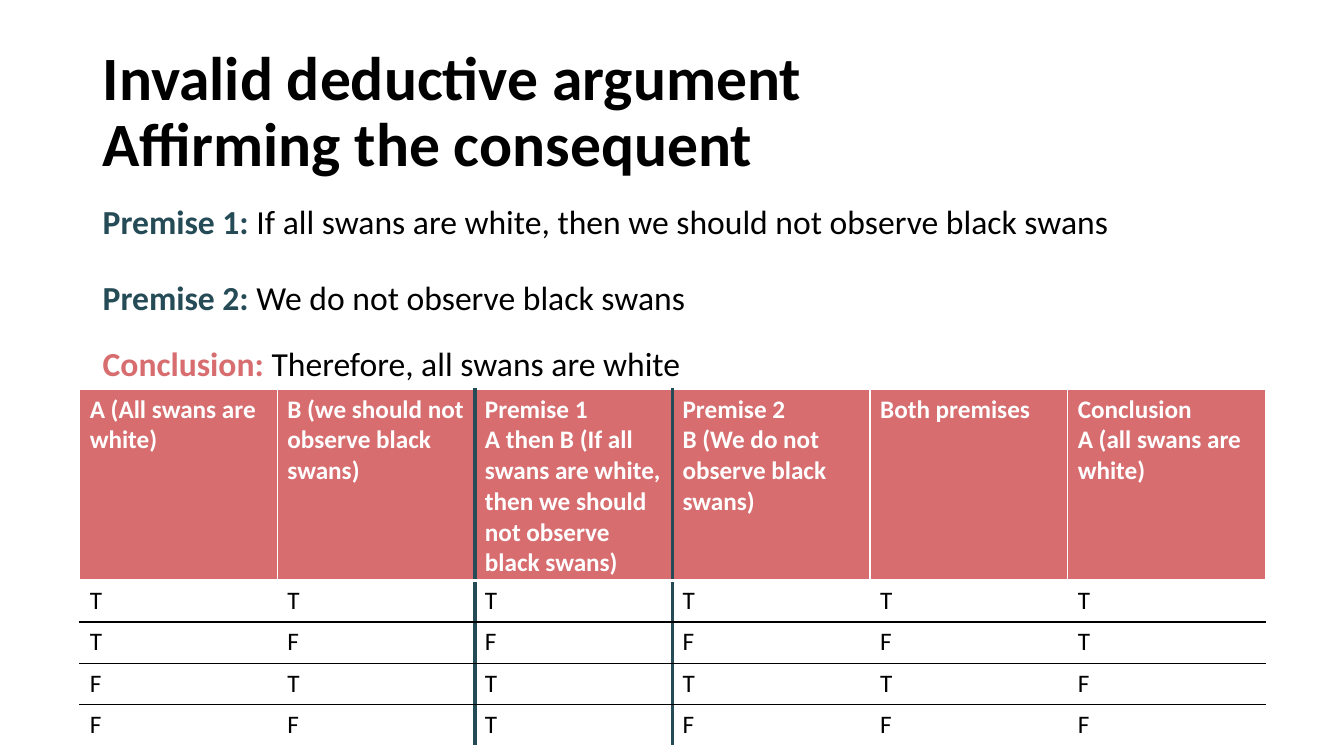
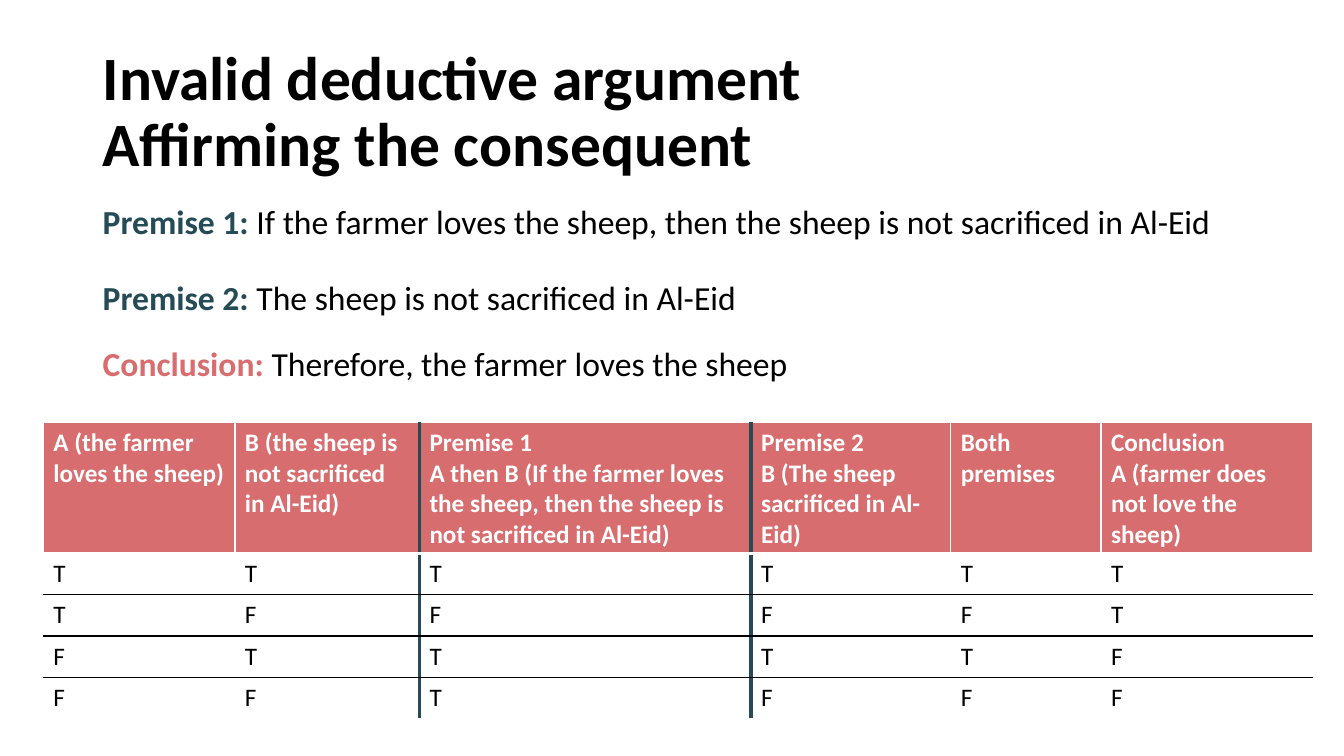
from itertools import product

from lxml.etree import SubElement
from pptx import Presentation
from pptx.dml.color import RGBColor
from pptx.enum.text import MSO_ANCHOR as Anchor
from pptx.oxml.ns import qn
from pptx.util import Inches, Pt

FONT = "Calibri"
BLACK, WHITE, TEAL, CORAL = "000000", "FFFFFF", "254B56", "D76D6F"
TITLE = "Invalid deductive argument\vAffirming the consequent"
TITLE_BOX = (0.92, 0.4, 11.5, 1.45)
# Label, colour and top of each statement
STATEMENTS = [("Premise 1: ", TEAL, 1.94), ("Premise 2: ", TEAL, 2.7), ("Conclusion: ", CORAL, 3.35)]
STATEMENT_LEFT, STATEMENT_WIDTH, STATEMENT_HEIGHT = 0.92, 12.25, 0.5
ROW_HEIGHT = 0.41
PREMISE_COLUMN = 2  # framed by heavy rules on both sides

ARGUMENTS = [
    {
        "statements": [
            "If all swans are white, then we should not observe black swans",
            "We do not observe black swans",
            "Therefore, all swans are white",
        ],
        "headings": [
            "A (All swans are white)",
            "B (we should not observe black swans)",
            "Premise 1\nA then B (If all swans are white, then we should not observe black swans)",
            "Premise 2\nB (We do not observe black swans)",
            "Both premises",
            "Conclusion\nA (all swans are white)",
        ],
        "table_at": (0.79, 3.86),
        "widths": [1.96] * 6,
        "header_height": 1.88,
    },
    {
        "statements": [
            "If the farmer loves the sheep, then the sheep is not sacrificed in Al-Eid",
            "The sheep is not sacrificed in Al-Eid",
            "Therefore, the farmer loves the sheep",
        ],
        "headings": [
            "A (the farmer loves the sheep)",
            "B (the sheep is not sacrificed in Al-Eid)",
            "Premise 1\nA then B (If the farmer loves the sheep, then the sheep is not sacrificed in Al-Eid)",
            "Premise 2\nB (The sheep sacrificed in Al-Eid)",
            "Both premises",
            "Conclusion\nA (farmer does not love the sheep)",
        ],
        "table_at": (0.43, 4.19),
        "widths": [1.9, 1.83, 3.29, 1.98, 1.49, 2.1],
        "header_height": 1.28,
    },
]


def color(hex_string):
    return RGBColor.from_string(hex_string)


def style(font, size, hex_string, bold):
    font.name, font.size, font.bold = FONT, Pt(size), bold
    font.color.rgb = color(hex_string)


def add_text_frame(slide, box):
    frame = slide.shapes.add_textbox(*map(Inches, box)).text_frame
    frame.word_wrap = True
    return frame


def add_title(slide, box):
    frame = add_text_frame(slide, box)
    frame.vertical_anchor = Anchor.MIDDLE
    frame.text = TITLE
    heading = frame.paragraphs[0]
    heading.line_spacing = 0.9
    style(heading.font, 44, BLACK, True)


def add_statement(slide, box, label, label_color, sentence):
    paragraph = add_text_frame(slide, box).paragraphs[0]
    for text, hex_string, bold in ((label, label_color, True), (sentence, BLACK, False)):
        run = paragraph.add_run()
        run.text = text
        style(run.font, 24, hex_string, bold)


def truth_rows():
    """Values of A, B, A then B, B, both premises, A."""
    rows = []
    for a, b in product((True, False), repeat=2):
        implies = b or not a
        values = (a, b, implies, b, implies and b, a)
        rows.append(["T" if value else "F" for value in values])
    return rows


def set_borders(cell, borders):
    properties = cell._tc.get_or_add_tcPr()
    for side, (hex_string, width) in borders.items():
        line = SubElement(properties, qn(f"a:ln{side}"), w=str(Pt(width)))
        fill = SubElement(line, qn("a:solidFill"))
        SubElement(fill, qn("a:srgbClr"), val=hex_string)


def cell_borders(row, column, last_row):
    def vertical(edge):
        framed = edge in (PREMISE_COLUMN, PREMISE_COLUMN + 1)
        return (TEAL, 3) if framed else (WHITE, 1)

    def horizontal(edge):
        if edge == 1:
            return WHITE, 3
        return (WHITE if edge in (0, last_row + 1) else BLACK), 1

    return {"L": vertical(column), "R": vertical(column + 1),
            "T": horizontal(row), "B": horizontal(row + 1)}


def add_truth_table(slide, left, top, widths, header_height, headings):
    rows = [headings] + truth_rows()
    heights = [header_height] + [ROW_HEIGHT] * (len(rows) - 1)
    box = map(Inches, (left, top, sum(widths), sum(heights)))
    table = slide.shapes.add_table(len(rows), len(widths), *box).table
    table.horz_banding = False
    for column, width in zip(table.columns, widths):
        column.width = Inches(width)
    for r, (texts, height) in enumerate(zip(rows, heights)):
        table.rows[r].height = Inches(height)
        is_header = r == 0
        for c, text in enumerate(texts):
            cell = table.cell(r, c)
            set_borders(cell, cell_borders(r, c, len(rows) - 1))
            if is_header:
                cell.fill.solid()
                cell.fill.fore_color.rgb = color(CORAL)
            else:
                cell.fill.background()
            cell.text = text
            for paragraph in cell.text_frame.paragraphs:
                style(paragraph.font, 18, WHITE if is_header else BLACK, is_header)


def add_argument_slide(deck, argument):
    slide = deck.slides.add_slide(deck.slide_layouts[6])
    add_title(slide, TITLE_BOX)
    for (label, label_color, top), sentence in zip(STATEMENTS, argument["statements"]):
        box = (STATEMENT_LEFT, top, STATEMENT_WIDTH, STATEMENT_HEIGHT)
        add_statement(slide, box, label, label_color, sentence)
    add_truth_table(slide, *argument["table_at"], argument["widths"],
                    argument["header_height"], argument["headings"])


def main():
    deck = Presentation()
    deck.slide_width, deck.slide_height = Inches(13.33), Inches(7.5)
    for argument in ARGUMENTS:
        add_argument_slide(deck, argument)
    deck.save("out.pptx")


if __name__ == "__main__":
    main()
